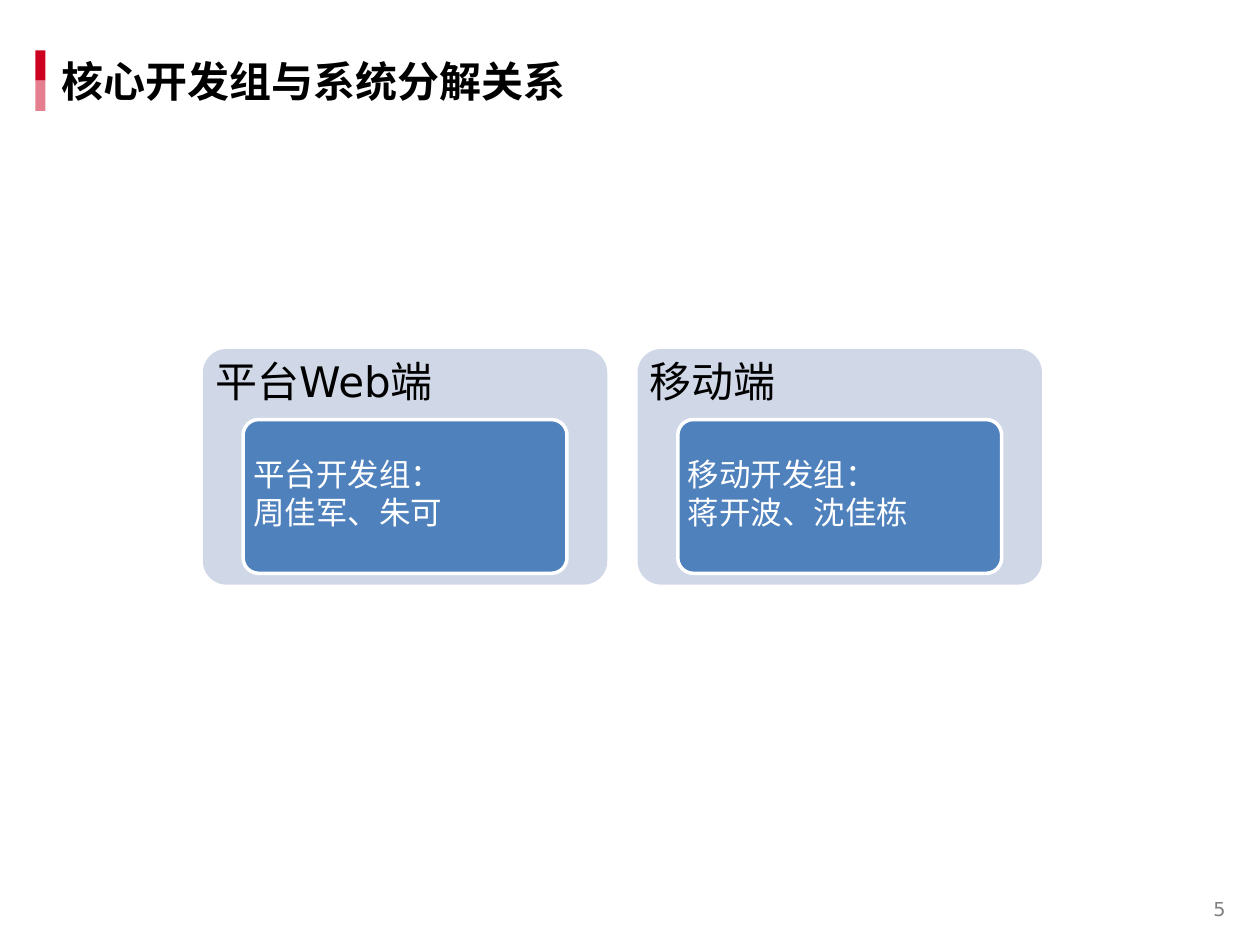
from dataclasses import dataclass

from pptx import Presentation
from pptx.dml.color import RGBColor as Rgb
from pptx.enum.shapes import MSO_SHAPE as Shape
from pptx.enum.text import MSO_ANCHOR as Anchor, PP_ALIGN as Align
from pptx.oxml.ns import qn
from pptx.util import Inches, Pt


@dataclass(frozen=True)
class Theme:
    red: str = "CE001F"
    pink: str = "E57E8F"
    panel: str = "D0D8E8"
    blue: str = "4F81BD"
    white: str = "FFFFFF"
    black: str = "000000"
    gray: str = "808080"
    latin: str = "DejaVu Sans"
    chinese: str = "Noto Sans CJK SC"
    heading_size: int = 24
    body_size: int = 18
    number_size: int = 11


class SlideBuilder:
    def __init__(self, page, theme):
        self.page = page
        self.theme = theme

    def block(self, kind, area, fill, line=None):
        shape = self.page.shapes.add_shape(kind, *map(Inches, area))
        shape.shadow.inherit = False
        shape.fill.solid()
        shape.fill.fore_color.rgb = Rgb.from_string(fill)
        if line:
            shape.line.color.rgb = Rgb.from_string(line)
            shape.line.width = Pt(2)
        else:
            shape.line.fill.background()
        if kind == Shape.ROUNDED_RECTANGLE:
            shape.adjustments[0] = 0.1

    def text(self, area, words, size, color, insets=(0.13, 0.07), font=None,
             bold=False, align=Align.LEFT, line_spacing=1.0, gap=0):
        box = self.page.shapes.add_textbox(*map(Inches, area))
        frame = box.text_frame
        frame.word_wrap = True
        frame.vertical_anchor = Anchor.MIDDLE
        frame.margin_left = frame.margin_right = Inches(insets[0])
        frame.margin_top = frame.margin_bottom = Inches(insets[1])
        frame.text = words
        for para in frame.paragraphs:
            para.alignment = align
            para.line_spacing = line_spacing
            para.space_after = Pt(gap)
            for span in para.runs:
                span.font.size = Pt(size)
                span.font.bold = bold
                span.font.color.rgb = Rgb.from_string(color)
                span.font.name = font or self.theme.latin
                east_asian = span.font._element.makeelement(
                    qn("a:ea"), {"typeface": self.theme.chinese})
                span.font._element.find(qn("a:latin")).addnext(east_asian)

    def team_card(self, left, top, heading, members):
        theme = self.theme
        rounded = Shape.ROUNDED_RECTANGLE
        self.block(rounded, (left, top, 3.21, 1.87), theme.panel)
        self.text((left, top, 3.21, 0.56), heading, theme.heading_size,
                  theme.black, insets=(0.1, 0.1), line_spacing=0.9)
        self.block(rounded, (left + 0.32, top + 0.56, 2.57, 1.22),
                   theme.blue, theme.white)
        self.text((left + 0.35, top + 0.59, 2.5, 1.14), members,
                  theme.body_size, theme.white, insets=(0.05, 0.04),
                  line_spacing=0.9, gap=2.5)


theme = Theme()
deck = Presentation()
deck.slide_width = Inches(10)
deck.slide_height = Inches(7.5)
page = deck.slides.add_slide(deck.slide_layouts[6])
builder = SlideBuilder(page, theme)

for row, color in enumerate((theme.red, theme.pink)):
    builder.block(Shape.RECTANGLE, (0.28, 0.4 + row * 0.24, 0.08, 0.24), color)
builder.text((9.36, 7.02, 0.64, 0.39), "5", theme.number_size, theme.gray,
             align=Align.CENTER)
builder.text((0.36, 0.4, 4.65, 0.48), "核心开发组与系统分解关系",
             theme.heading_size, theme.black, font=theme.chinese, bold=True)

teams = (
    ("平台Web端", "平台开发组：\n周佳军、朱可"),
    ("移动端", "移动开发组：\n蒋开波、沈佳栋"),
)
for column, (heading, members) in enumerate(teams):
    builder.team_card(1.61 + column * 3.45, 2.77, heading, members)

deck.save("out.pptx")
